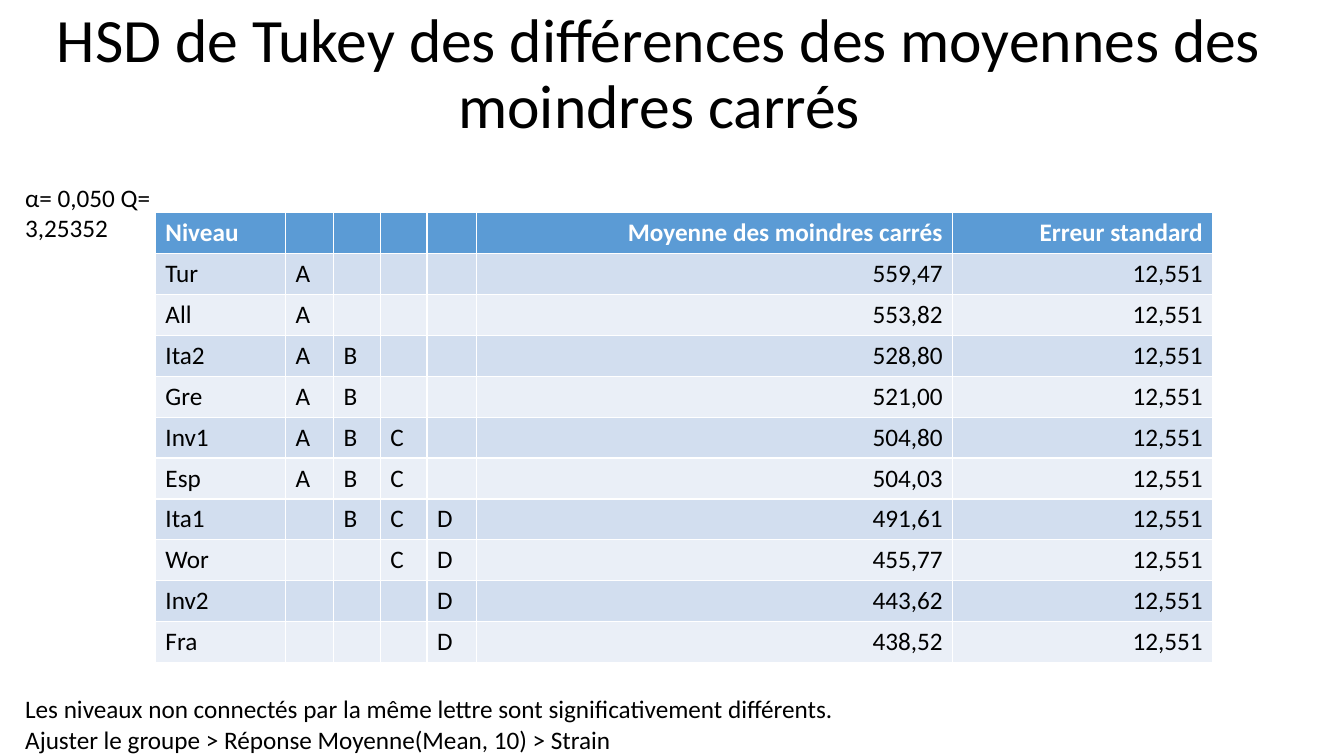
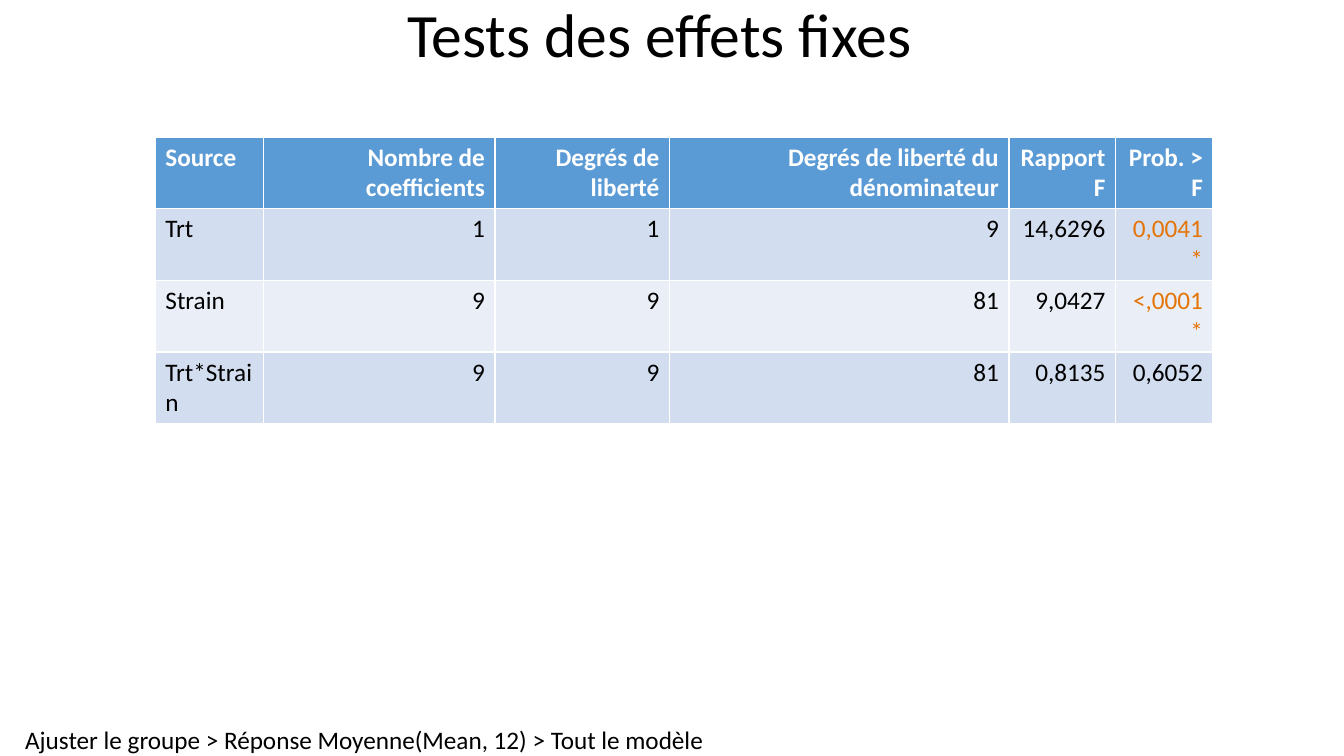
from pptx import Presentation
from pptx.dml.color import RGBColor
from pptx.enum.text import MSO_ANCHOR, MSO_AUTO_SIZE, PP_ALIGN
from pptx.util import Pt

LEFT, RIGHT, CENTER = PP_ALIGN.LEFT, PP_ALIGN.RIGHT, PP_ALIGN.CENTER
MIDDLE, FIXED = MSO_ANCHOR.MIDDLE, MSO_AUTO_SIZE.NONE

FONT = "Calibri"
BLACK = RGBColor(0x00, 0x00, 0x00)
WHITE = RGBColor(0xFF, 0xFF, 0xFF)
BLUE = RGBColor(0x5B, 0x9B, 0xD5)
BANDS = RGBColor(0xD2, 0xDE, 0xEF), RGBColor(0xEA, 0xEF, 0xF7)
ORANGE = RGBColor(0xE5, 0x74, 0x06)

MARGIN, TABLE_X, ROW_H, LINE_H = 18, 111, 28.8, 22.5
FOOT_Y = 517.5

GROUPS = "ABCD"
ERROR = "12,551"
LEVELS = [
    ("Tur", "A", "559,47"),
    ("All", "A", "553,82"),
    ("Ita2", "AB", "528,80"),
    ("Gre", "AB", "521,00"),
    ("Inv1", "ABC", "504,80"),
    ("Esp", "ABC", "504,03"),
    ("Ita1", "BCD", "491,61"),
    ("Wor", "CD", "455,77"),
    ("Inv2", "D", "443,62"),
    ("Fra", "D", "438,52"),
]
LEVEL_HEAD = ["Niveau", *[""] * len(GROUPS),
              "Moyenne des moindres carrés", "Erreur standard"]
LEVEL_ROWS = [
    [name, *[g if g in marks else "" for g in GROUPS], mean, ERROR]
    for name, marks, mean in LEVELS
]
EFFECTS = [
    ["Source", "Nombre de coefficients", "Degrés de liberté",
     "Degrés de liberté du dénominateur", "Rapport F", "Prob. > F"],
    ["Trt", "1", "1", "9", "14,6296", "0,0041*"],
    ["Strain", "9", "9", "81", "9,0427", "<,0001*"],
    ["Trt*Strain", "9", "9", "81", "0,8135", "0,6052"],
]

SLIDES = [
    {
        "title": "HSD de Tukey des différences des moyennes des moindres carrés",
        "title_h": 108,
        "rows": [LEVEL_HEAD, *LEVEL_ROWS],
        "top": 152,
        "widths": [93, 34.3, 33.4, 33.4, 35.1, 340.4, 185.8],
        "text_cols": 1 + len(GROUPS),
        "notes": [
            ("α= 0,050 Q= 3,25352", 130, 152),
            ("Les niveaux non connectés par la même lettre "
             "sont significativement différents.", 495, 581),
            ("Ajuster le groupe > Réponse Moyenne(Mean, 10) > Strain", 517.5, 420),
        ],
    },
    {
        "title": "Tests des effets fixes",
        "title_h": 54,
        "rows": EFFECTS,
        "top": 98,
        "widths": [77, 165.6, 124.6, 242.6, 76, 69.7],
        "text_cols": 1,
        "notes": [
            ("Ajuster le groupe > Réponse Moyenne(Mean, 12) > Tout le modèle",
             517.5, 487),
        ],
    },
]


def style(para, size=18, color=BLACK, bold=False, align=LEFT):
    para.alignment = align
    for run in para.runs:
        font = run.font
        font.name, font.size, font.bold = FONT, Pt(size), bold
        font.color.rgb = color


def set_title(slide, text, height):
    title = slide.shapes.title
    title.left, title.top = Pt(0), Pt(0)
    title.width, title.height = Pt(942), Pt(height)
    frame = title.text_frame
    frame.text = text
    frame.vertical_anchor, frame.auto_size = MIDDLE, FIXED
    para = frame.paragraphs[0]
    para.line_spacing = 0.9
    style(para, 44, align=CENTER)


def add_note(slide, text, top, width):
    box = slide.shapes.add_textbox(Pt(MARGIN), Pt(top), Pt(width), Pt(LINE_H))
    frame = box.text_frame
    frame.margin_left = frame.margin_right = Pt(0)
    frame.margin_top = frame.margin_bottom = Pt(0)
    frame.word_wrap = False
    frame.text = text
    style(frame.paragraphs[0])


def add_grid(slide, rows, top, widths, text_cols):
    """Add a banded table whose columns after text_cols align right."""
    table = slide.shapes.add_table(
        len(rows), len(widths), Pt(TABLE_X), Pt(top),
        Pt(sum(widths)), Pt(ROW_H * len(rows))).table
    for col, width in zip(table.columns, widths):
        col.width = Pt(width)
    for r, row in enumerate(rows):
        head = r == 0
        for c, text in enumerate(row):
            cell = table.cell(r, c)
            cell.fill.solid()
            cell.fill.fore_color.rgb = BLUE if head else BANDS[(r - 1) % 2]
            cell.text_frame.text = text
            color = WHITE if head else ORANGE if text.endswith("*") else BLACK
            style(cell.text_frame.paragraphs[0], color=color, bold=head,
                  align=LEFT if c < text_cols else RIGHT)


def main():
    deck = Presentation()
    deck.slide_width, deck.slide_height = Pt(960), Pt(540)
    layout = deck.slide_layouts.get_by_name("Title Only")
    for page in SLIDES:
        slide = deck.slides.add_slide(layout)
        set_title(slide, page["title"], page["title_h"])
        add_grid(slide, page["rows"], page["top"], page["widths"],
                 page["text_cols"])
        for text, top, width in page["notes"]:
            add_note(slide, text, top, width)
    deck.save("out.pptx")


if __name__ == "__main__":
    main()
